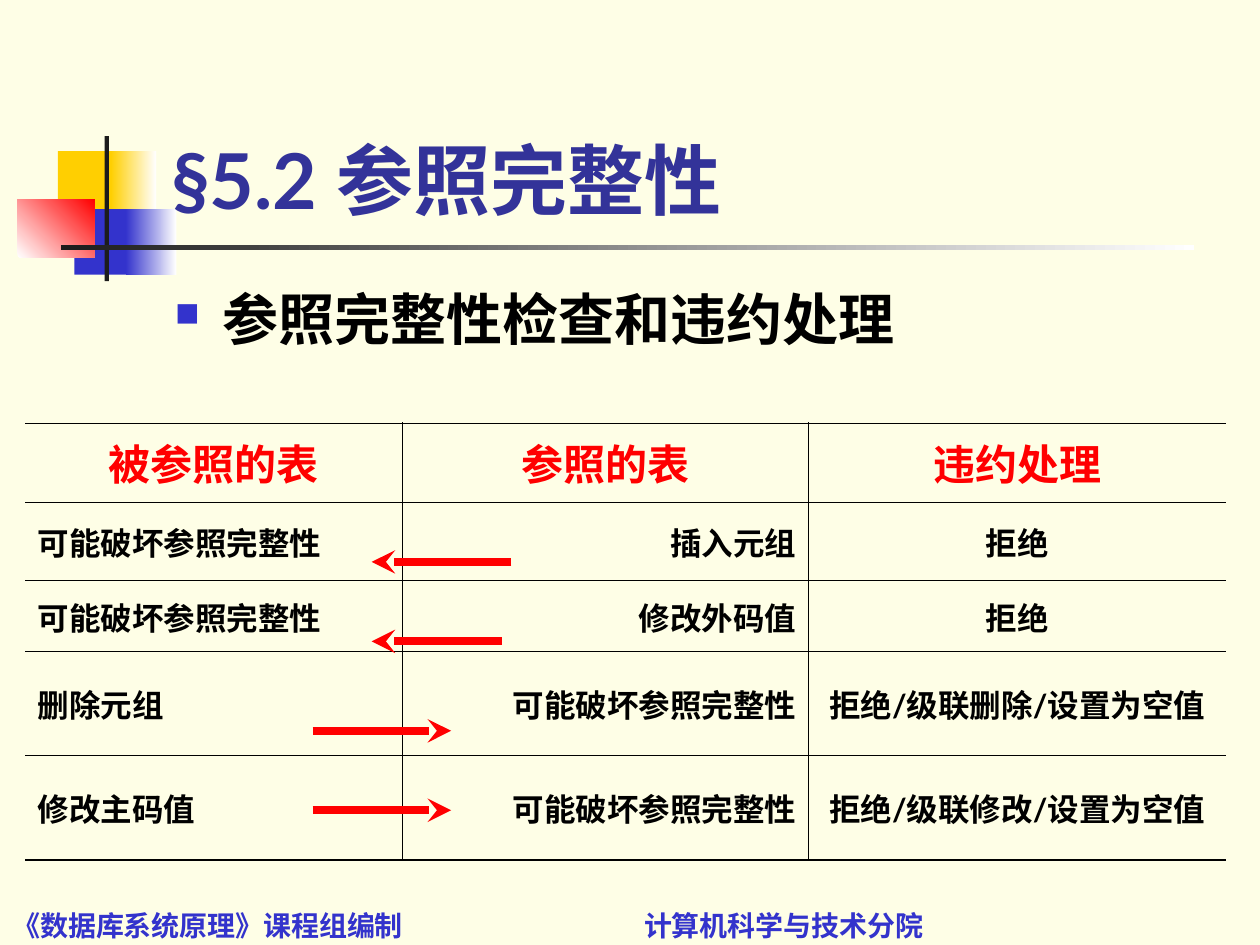
from lxml import etree
from pptx import Presentation
from pptx.dml.color import RGBColor
from pptx.enum.shapes import MSO_CONNECTOR, MSO_SHAPE
from pptx.enum.text import MSO_ANCHOR, PP_ALIGN
from pptx.oxml.ns import qn
from pptx.util import Pt

RECTANGLE = MSO_SHAPE.RECTANGLE
STRAIGHT = MSO_CONNECTOR.STRAIGHT
TOP, MIDDLE, BOTTOM = MSO_ANCHOR.TOP, MSO_ANCHOR.MIDDLE, MSO_ANCHOR.BOTTOM
LEFT, CENTER, RIGHT = PP_ALIGN.LEFT, PP_ALIGN.CENTER, PP_ALIGN.RIGHT
LATIN_FONT, CHINESE_FONT = "Lato", "Noto Sans CJK SC"
color = RGBColor.from_string


def add(parent, tag, **attributes):
    return etree.SubElement(parent, qn(tag), attributes)


def write(para, text, size, hex_color, font=LATIN_FONT, align=LEFT, before=0):
    para.text = text
    para.alignment = align
    para.space_before = Pt(before)
    for span in para.runs:
        span.font.size = Pt(size)
        span.font.bold = True
        span.font.color.rgb = color(hex_color)
        span.font.name = font
        add(span.font._element, "a:ea", typeface=CHINESE_FONT)


deck = Presentation()
deck.slide_width, deck.slide_height = Pt(720), Pt(540)
page = deck.slides.add_slide(deck.slide_layouts[6])
page.background.fill.solid()
page.background.fill.fore_color.rgb = color("FEFEE6")

decorations = [
    (33.1, 86.4, 34.6, 37.4, ["FFCF01"], 0),
    (63.4, 86.4, 25.9, 37.4, ["FFCF01", "FFFFFF"], 0),
    (42.5, 119.5, 33.1, 37.4, ["3333CC"], 0),
    (72, 119.5, 28.8, 37.4, ["3333CC", "FFFFFF"], 0),
    (10.1, 113.8, 43.9, 33.1, ["FFFFFF", "FF0000"], 45),
    (59.8, 77.8, 2.4, 82.8, ["1C1C1C"], 0),
    (34.6, 140.2, 648, 2.4, ["1C1C1C", "FFFFFF"], 0),
]
for left, top, width, height, colors, angle in decorations:
    block = page.shapes.add_shape(RECTANGLE, Pt(left), Pt(top), Pt(width), Pt(height))
    block.shadow.inherit = False
    block.line.fill.background()
    if len(colors) == 1:
        block.fill.solid()
        block.fill.fore_color.rgb = color(colors[0])
    else:
        block.fill.gradient()
        block.fill.gradient_angle = angle
        for stop, hex_color in zip(block.fill.gradient_stops, colors):
            stop.color.rgb = color(hex_color)

texts = [
    ("《数据库系统原理》课程组编制\t计算机科学与技术分院", 0, 524.9, 720, 17.3, BOTTOM, 16, "3333CC", CHINESE_FONT, 0),
    ("§5.2 参照完整性", 90.7, 16.6, 613.4, 115.2, BOTTOM, 44, "333399", LATIN_FONT, 0),
    ("参照完整性检查和违约处理", 92.9, 159.1, 612, 349.2, TOP, 32, "000000", LATIN_FONT, 8),
]
paragraphs = []
for text, left, top, width, height, anchor, size, hex_color, font, before in texts:
    box = page.shapes.add_textbox(Pt(left), Pt(top), Pt(width), Pt(height))
    box.text_frame.word_wrap = True
    box.text_frame.vertical_anchor = anchor
    para = box.text_frame.paragraphs[0]
    write(para, text, size, hex_color, font, before=before)
    paragraphs.append(para)
footer, title, heading = paragraphs

tabs = add(footer._p.get_or_add_pPr(), "a:tabLst")
add(tabs, "a:tab", pos=str(Pt(361)), algn="l")

bullet = heading._p.get_or_add_pPr()
bullet.set("marL", str(Pt(27)))
bullet.set("indent", str(Pt(-27)))
add(add(bullet, "a:buClr"), "a:srgbClr", val="3333CC")
add(bullet, "a:buSzPct", val="60000")
add(bullet, "a:buChar", char="■")

rows = [
    ("被参照的表", "参照的表", "违约处理"),
    ("可能破坏参照完整性", "插入元组", "拒绝"),
    ("可能破坏参照完整性", "修改外码值", "拒绝"),
    ("删除元组", "可能破坏参照完整性", "拒绝/级联删除/设置为空值"),
    ("修改主码值", "可能破坏参照完整性", "拒绝/级联修改/设置为空值"),
]
column_widths = [215.5, 232.2, 238.3]
row_heights = [45, 45, 40.5, 59.5, 59.5]
alignments = [LEFT, RIGHT, CENTER]
last_row, last_column = len(rows) - 1, len(column_widths) - 1
frame = page.shapes.add_table(
    len(rows), len(column_widths), Pt(14.4), Pt(241.9), Pt(sum(column_widths)), Pt(sum(row_heights))
)
table = frame.table
table.first_row = table.horz_banding = False
for column, width in zip(table.columns, column_widths):
    column.width = Pt(width)
for row, height in zip(table.rows, row_heights):
    row.height = Pt(height)

for r, row in enumerate(rows):
    for c, text in enumerate(row):
        cell = table.cell(r, c)
        cell.vertical_anchor = MIDDLE
        para = cell.text_frame.paragraphs[0]
        if r == 0:
            write(para, text, 24, "FF0000", align=CENTER, before=6)
        else:
            write(para, text, 18, "000000", align=alignments[c], before=4.5)
        borders = {
            "a:lnL": 0.45 if c > 0 else 0,
            "a:lnR": 0.45 if c < last_column else 0,
            "a:lnT": 1.08 if r == 0 else 0.45,
            "a:lnB": 1.08 if r == last_row else 0.45,
        }
        for tag, weight in borders.items():
            border = add(cell._tc.get_or_add_tcPr(), tag, w=str(Pt(weight)))
            if weight:
                add(add(border, "a:solidFill"), "a:srgbClr", val="000000")
            else:
                add(border, "a:noFill")
        cell.fill.background()

arrows = [(292.3, 212.4, 321.1), (286.6, 212.4, 366.5), (178.6, 257.8, 417.6), (178.6, 257.8, 463)]
for start, end, y in arrows:
    arrow = page.shapes.add_connector(STRAIGHT, Pt(start), Pt(y), Pt(end), Pt(y))
    arrow.line.color.rgb = color("FF0000")
    arrow.line.width = Pt(4.5)
    add(arrow.line._get_or_add_ln(), "a:tailEnd", type="stealth")
    add(arrow._element.spPr, "a:effectLst")

deck.save("out.pptx")
